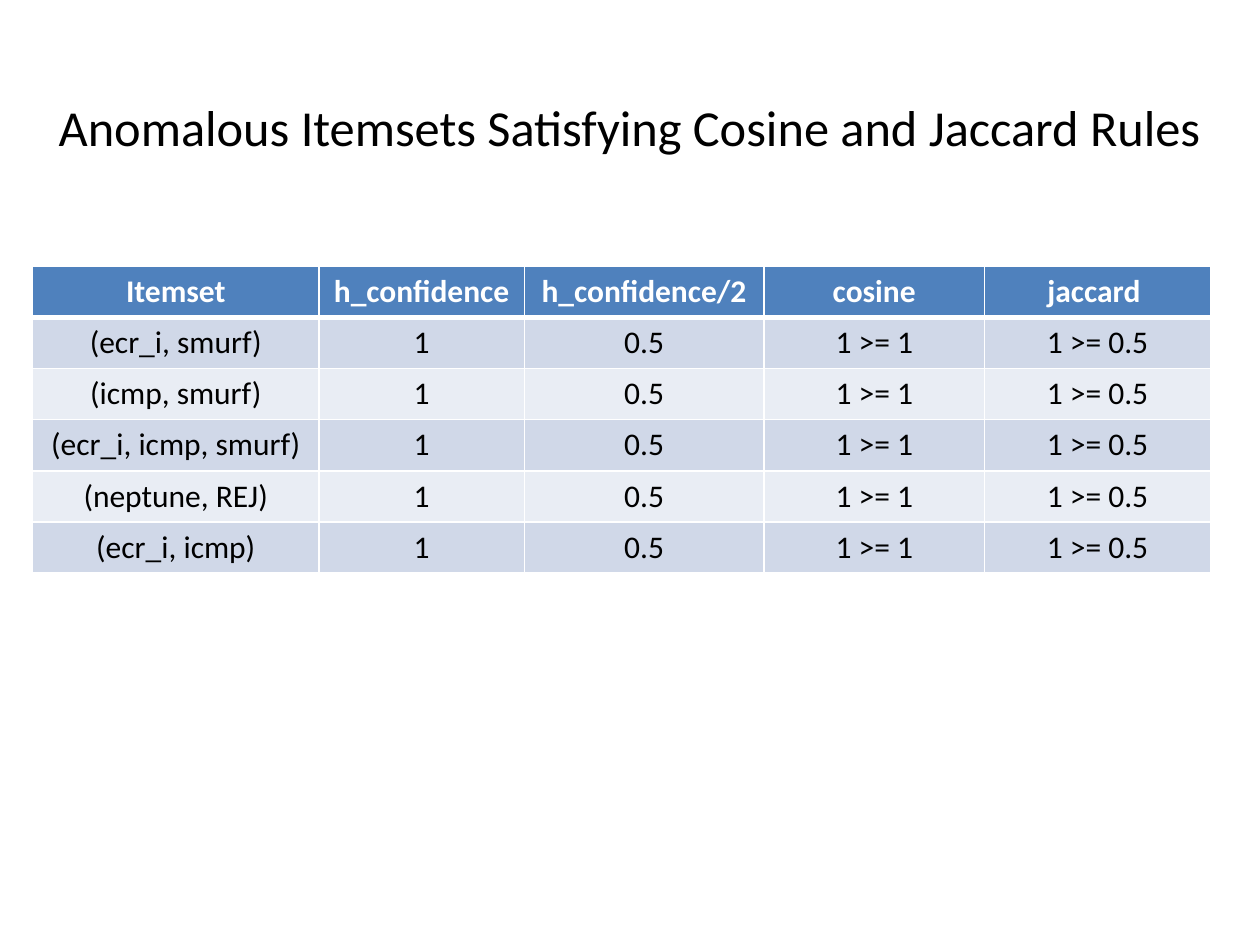
from dataclasses import dataclass

from lxml import etree
from pptx import Presentation
from pptx.dml.color import RGBColor
from pptx.enum.text import MSO_ANCHOR, PP_ALIGN
from pptx.oxml.ns import qn
from pptx.util import Cm, Pt

CENTER = PP_ALIGN.CENTER
MIDDLE = MSO_ANCHOR.MIDDLE
TITLE_ONLY = 5
FONT = "Calibri"
WHITE, BLACK = "FFFFFF", "000000"
HEADER_FILL = "4F81BD"
BAND_FILLS = ("D0D8E8", "E9EDF4")
ROW_HEIGHT = 1.03
THIN, THICK = 1, 3

TITLE = "Anomalous Itemsets Satisfying Cosine and Jaccard Rules"
ITEMSETS = (
    "(ecr_i, smurf)",
    "(icmp, smurf)",
    "(ecr_i, icmp, smurf)",
    "(neptune, REJ)",
    "(ecr_i, icmp)",
)
MEASURES = ("1", "0.5", "1 >= 1", "1 >= 0.5")


@dataclass(frozen=True)
class Column:
    heading: str
    width: float


@dataclass(frozen=True)
class RowStyle:
    fill: str
    text_color: str
    bold: bool
    top: int = THIN
    bottom: int = THIN


COLUMNS = (
    Column("Itemset", 5.77),
    Column("h_confidence", 4.14),
    Column("h_confidence/2", 4.83),
    Column("cosine", 4.45),
    Column("jaccard ", 4.55),
)


def color(value: str) -> RGBColor:
    return RGBColor.from_string(value)


def write_text(text_frame, text: str, size: float, text_color: str, bold: bool) -> None:
    text_frame.text = text
    paragraph = text_frame.paragraphs[0]
    paragraph.alignment = CENTER
    font = paragraph.runs[0].font
    for name, value in {"name": FONT, "size": Pt(size), "bold": bold}.items():
        setattr(font, name, value)
    font.color.rgb = color(text_color)


def add_borders(cell, style: RowStyle) -> None:
    """Draw white borders; call before filling, as the schema puts lines first."""
    properties = cell._tc.get_or_add_tcPr()
    widths = {"lnL": THIN, "lnR": THIN, "lnT": style.top, "lnB": style.bottom}
    for tag, width in widths.items():
        line = etree.SubElement(properties, qn(f"a:{tag}"), w=str(Pt(width)))
        fill = etree.SubElement(line, qn("a:solidFill"))
        etree.SubElement(fill, qn("a:srgbClr"), val=WHITE)


def draw_row(table, index: int, texts: tuple[str, ...], style: RowStyle) -> None:
    table.rows[index].height = Cm(ROW_HEIGHT)
    for cell, text in zip(table.rows[index].cells, texts):
        add_borders(cell, style)
        cell.fill.solid()
        cell.fill.fore_color.rgb = color(style.fill)
        write_text(cell.text_frame, text, 18, style.text_color, style.bold)


def add_title(slide) -> None:
    title = slide.shapes.title
    position = {"left": 0, "top": 1.68, "width": 25.4, "height": 1.73}
    for name, value in position.items():
        setattr(title, name, Cm(value))
    title.text_frame.vertical_anchor = MIDDLE
    write_text(title.text_frame, TITLE, 28.8, BLACK, False)


def add_itemset_table(slide) -> None:
    row_count = len(ITEMSETS) + 1
    width = sum(column.width for column in COLUMNS)
    table = slide.shapes.add_table(
        row_count, len(COLUMNS), Cm(0.66), Cm(5.37), Cm(width), Cm(row_count * ROW_HEIGHT)
    ).table
    for table_column, column in zip(table.columns, COLUMNS):
        table_column.width = Cm(column.width)

    headings = tuple(column.heading for column in COLUMNS)
    draw_row(table, 0, headings, RowStyle(HEADER_FILL, WHITE, True, bottom=THICK))
    for index, itemset in enumerate(ITEMSETS, start=1):
        fill = BAND_FILLS[(index - 1) % len(BAND_FILLS)]
        top = THICK if index == 1 else THIN
        draw_row(table, index, (itemset, *MEASURES), RowStyle(fill, BLACK, False, top=top))


def main() -> None:
    presentation = Presentation()
    presentation.slide_width = Cm(25.4)
    presentation.slide_height = Cm(19.05)
    slide = presentation.slides.add_slide(presentation.slide_layouts[TITLE_ONLY])
    add_title(slide)
    add_itemset_table(slide)
    presentation.save("out.pptx")


if __name__ == "__main__":
    main()
